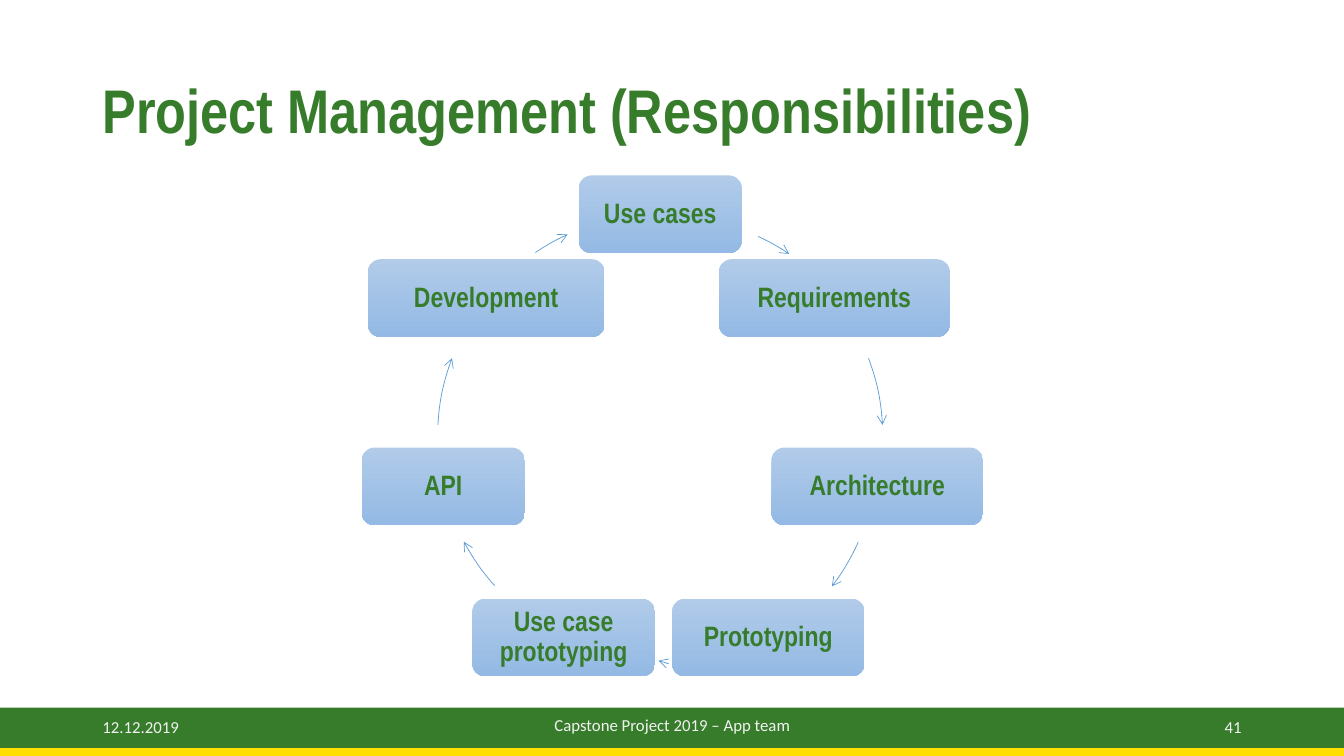
from math import cos, radians, sin

from lxml import etree
from pptx import Presentation
from pptx.dml.color import RGBColor
from pptx.enum.shapes import MSO_SHAPE
from pptx.enum.text import MSO_ANCHOR, PP_ALIGN
from pptx.oxml.ns import qn
from pptx.util import Cm, Pt

RECT, ROUND, ARC = MSO_SHAPE.RECTANGLE, MSO_SHAPE.ROUNDED_RECTANGLE, MSO_SHAPE.ARC
LEFT, MID, RIGHT = PP_ALIGN.LEFT, PP_ALIGN.CENTER, PP_ALIGN.RIGHT
CENTRE = MSO_ANCHOR.MIDDLE

GREEN, YELLOW, PALE, BLUE = "367C2B", "FFDE00", "F2F2F2", "5B9BD5"
TOP, BOTTOM = "B1CBE9", "93B9E4"

# Content: lengths in cm, angles in degrees clockwise from the right
TITLE = "Project Management (Responsibilities)"
STEPS = [  # label, width, sideways shift
    ("Use cases", 4.11, 0),
    ("Requirements", 5.82, 0),
    ("Architecture", 5.33, 0),
    ("Prototyping", 4.85, 0.29),
    ("Use case prototyping", 4.6, 0),
    ("API", 4.11, 0),
    ("Development", 5.97, 0),
]
ARROWS = [  # start angle, end angle, shift of the circle
    (294.6, 303.8, 0.13, 0.05),
    (339.3, 356.9, 0, 0),
    (24.1, 37.4, -0.13, 0.36),
    (105.2, 107.9, 1.68, 0.3),
    (138.1, 151.9, 0, 0),
    (183.1, 200.7, 0, 0),
    (235.9, 245.4, 0, 0),
]
FOOT = [  # text, left, top, width, alignment
    ("Capstone Project 2019 – App team", 11.23, 17.75, 11.43, MID),
    ("12.12.2019", 2.33, 17.81, 7.62, LEFT),
    ("41", 23.92, 17.81, 7.62, RIGHT),
]
WIDE, HIGH = 33.87, 19.05
MID_X, MID_Y, RADIUS = 16.64, 11.01, 5.61
BOX_H, INSET = 1.96, 0.3


def color(code):
    return RGBColor.from_string(code)


def write(shape, text, size=12, font="Calibri", tint=PALE, bold=False,
          align=LEFT, lines=1.0, inset=None):
    frame = shape.text_frame
    frame.word_wrap = True
    frame.vertical_anchor = CENTRE
    if inset is not None:
        frame.margin_left = frame.margin_right = Cm(inset)
        frame.margin_top = frame.margin_bottom = Cm(inset)
    para = frame.paragraphs[0]
    para.alignment, para.line_spacing = align, lines
    run = para.add_run()
    run.text = text
    run.font.name, run.font.size, run.font.bold = font, Pt(size), bold
    run.font.color.rgb = color(tint)


def place(kind, x, y, w, h, fill=None):
    shape = slide.shapes.add_shape(kind, Cm(x), Cm(y), Cm(w), Cm(h))
    shape.shadow.inherit = False
    shape.line.fill.background()
    if fill:
        shape.fill.solid()
        shape.fill.fore_color.rgb = color(fill)
    return shape


def add_step(i, label, width, shift):
    turn = radians(360 * i / len(STEPS) - 90)
    x = MID_X + RADIUS * cos(turn) + shift - width / 2
    y = MID_Y + RADIUS * sin(turn) - BOX_H / 2
    box = place(ROUND, x, y, width, BOX_H)
    box.fill.gradient()
    box.fill.gradient_angle = 270
    for stop, code in zip(box.fill.gradient_stops, (TOP, BOTTOM)):
        stop.color.rgb = color(code)
    write(box, label, size=20, font="Arial Narrow", tint=GREEN, bold=True,
          align=MID, lines=0.9, inset=INSET)


def add_arrow(start, end, dx, dy):
    arc = place(ARC, MID_X - RADIUS + dx, MID_Y - RADIUS + dy,
                2 * RADIUS, 2 * RADIUS)
    # Adjustments count 100000 units; angles count 60000 per degree
    for k, angle in enumerate((start, end)):
        arc.adjustments[k] = angle * 0.6
    arc.fill.background()
    arc.line.color.rgb = color(BLUE)
    arc.line.width = Pt(0.5)
    line = arc.element.spPr.find(qn("a:ln"))
    etree.SubElement(line, qn("a:tailEnd"), type="arrow")


deck = Presentation()
deck.slide_width, deck.slide_height = Cm(WIDE), Cm(HIGH)
slide = deck.slides.add_slide(deck.slide_layouts[5])

# Title
title = slide.shapes.title
title.left, title.top, title.width, title.height = Cm(2.33), Cm(1.01), Cm(29.21), Cm(3.68)
write(title, TITLE, size=44, font="Arial Narrow", tint=GREEN, bold=True, lines=0.9)

# Footer bands and texts
place(RECT, 0, 17.83, WIDE, 1.02, GREEN)
place(RECT, 0, 18.85, WIDE, 0.2, YELLOW)
for text, x, y, w, align in FOOT:
    write(slide.shapes.add_textbox(Cm(x), Cm(y), Cm(w), Cm(1.01)), text, align=align)

# Cycle of steps and arrows
for i, (step, arrow) in enumerate(zip(STEPS, ARROWS)):
    add_step(i, *step)
    add_arrow(*arrow)

deck.save("out.pptx")
